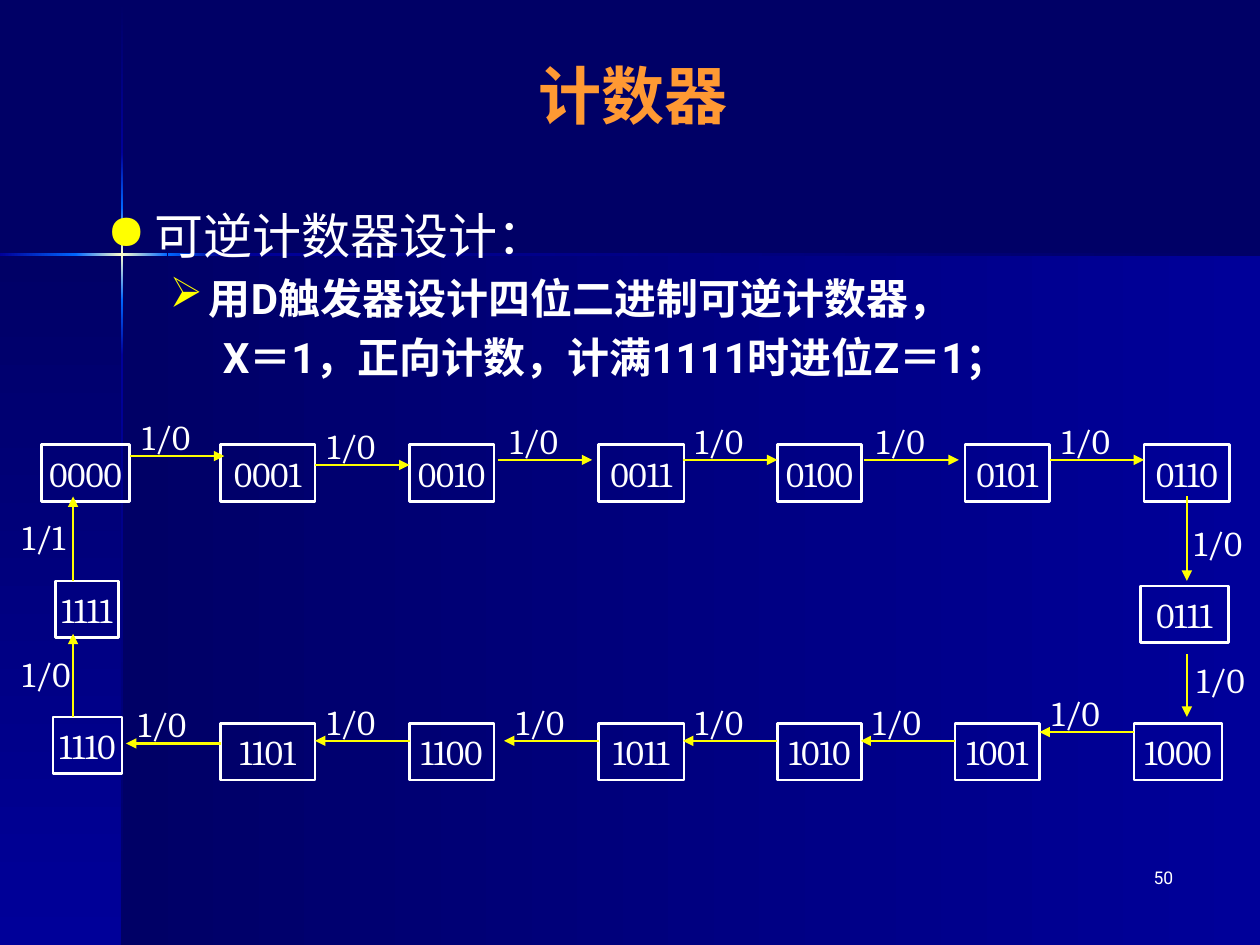
from lxml import etree
from pptx import Presentation
from pptx.dml.color import RGBColor
from pptx.enum.shapes import MSO_CONNECTOR, MSO_SHAPE
from pptx.enum.text import MSO_ANCHOR, MSO_AUTO_SIZE, PP_ALIGN
from pptx.oxml.ns import qn
from pptx.util import Inches, Pt

RECT = MSO_SHAPE.RECTANGLE
STRAIGHT = MSO_CONNECTOR.STRAIGHT
LEFT, CENTER, RIGHT = PP_ALIGN.LEFT, PP_ALIGN.CENTER, PP_ALIGN.RIGHT
TOP, MIDDLE = MSO_ANCHOR.TOP, MSO_ANCHOR.MIDDLE
GROW = MSO_AUTO_SIZE.SHAPE_TO_FIT_TEXT

COLORS = {"night": "000066", "navy": "000099", "blue": "0066FF", "glow": "FFFFCC",
          "title": "FF9933", "text": "FFFFFF", "accent": "FFFF00"}
BODY_FONT, DIAGRAM_FONT = "Roboto", "Cambria"

# Background bands: left, top, width, height, gradient angle, gradient stops
BANDS = [
    (0.97, 2.02, 9.03, 5.48, 0, ("night", "navy")),
    (0, 2.02, 0.97, 5.48, 90, ("night", "navy")),
    (0.96, 0.01, 0.02, 1.2, 90, ("night", "navy")),
    (0.96, 2.82, 0.02, 4.68, 90, ("navy", "night")),
    (1.77, 2.01, 8.23, 0.02, 0, ("navy", "night")),
    (0.96, 2.38, 0.02, 0.44, 90, ("blue", "navy")),
    (0.96, 1.21, 0.02, 0.44, 90, ("navy", "blue")),
    (0.96, 1.65, 0.02, 0.73, 90, ("blue", "glow", "blue")),
    (0, 2.01, 0.61, 0.02, 0, ("navy", "blue")),
    (1.33, 2.01, 0.44, 0.02, 0, ("blue", "navy")),
    (0.6, 2.01, 0.73, 0.02, 0, ("blue", "glow", "blue")),
]

# Counter states: code, left, top, width
TOP_ROW, BOTTOM_ROW = 3.53, 5.74
STATES = [
    ("0000", 0.33, TOP_ROW, 0.7), ("0001", 1.75, TOP_ROW, 0.75),
    ("0010", 3.25, TOP_ROW, 0.67), ("0011", 4.75, TOP_ROW, 0.68),
    ("0100", 6.17, TOP_ROW, 0.67), ("0101", 7.66, TOP_ROW, 0.67),
    ("0110", 9.08, TOP_ROW, 0.68), ("0111", 9.05, 4.65, 0.7),
    ("1000", 9, BOTTOM_ROW, 0.7), ("1001", 7.58, BOTTOM_ROW, 0.67),
    ("1010", 6.17, BOTTOM_ROW, 0.67), ("1011", 4.75, BOTTOM_ROW, 0.68),
    ("1100", 3.25, BOTTOM_ROW, 0.67), ("1101", 1.75, BOTTOM_ROW, 0.75),
    ("1110", 0.42, 5.69, 0.55), ("1111", 0.44, 4.61, 0.5),
]
STATE_HEIGHT = 0.45

# Horizontal transitions: left end and height of each arrow
STEP, LABEL_RISE = 0.75, 0.37
FORWARD = [(1.03, 3.62), (2.5, 3.69), (3.95, 3.65), (5.42, 3.65), (6.86, 3.65), (8.33, 3.65)]
BACKWARD = [(8.25, 5.81), (6.83, 5.88), (5.42, 5.88), (4, 5.88), (2.5, 5.88), (1, 5.9)]
# Vertical transitions: x, start, end, label, label left, label top
VERTICAL = [
    (9.42, 3.94, 4.61, "1/0", 9.38, 4.09), (9.42, 5.19, 5.69, "1/0", 9.4, 5.18),
    (0.58, 5.69, 5.03, "1/0", 0.08, 5.13), (0.58, 4.61, 3.94, "1/1", 0.08, 4.04),
]


def rgb(name):
    return RGBColor.from_string(COLORS[name])


def style(paragraph, size, color="text", font=BODY_FONT, bold=False, align=LEFT):
    paragraph.alignment = align
    for run in paragraph.runs:
        run.font.size = Pt(size)
        run.font.name = font
        run.font.bold = bold
        run.font.color.rgb = rgb(color)


def add_band(slide, left, top, width, height, angle, stops):
    band = slide.shapes.add_shape(RECT, Inches(left), Inches(top), Inches(width), Inches(height))
    band.shadow.inherit = False
    band.line.fill.background()
    band.fill.gradient()
    band.fill.gradient_angle = (360 - angle) % 360
    stop_list = band._element.spPr.find(qn("a:gradFill")).find(qn("a:gsLst"))
    for old_stop in list(stop_list):
        stop_list.remove(old_stop)
    for i, name in enumerate(stops):
        stop = etree.SubElement(stop_list, qn("a:gs"), pos=str(100000 * i // (len(stops) - 1)))
        etree.SubElement(stop, qn("a:srgbClr"), val=COLORS[name])


def add_text(slide, left, top, width, height, text, anchor=TOP, wrap=True, **look):
    box = slide.shapes.add_textbox(Inches(left), Inches(top), Inches(width), Inches(height))
    frame = box.text_frame
    frame.word_wrap = wrap
    frame.vertical_anchor = anchor
    frame.text = text
    style(frame.paragraphs[0], **look)
    return frame


def set_indent(paragraph, margin, first_line=0, bullet=None):
    props = paragraph._p.get_or_add_pPr()
    props.set("marL", str(Inches(margin)))
    props.set("indent", str(Inches(first_line)))
    if bullet:
        color = etree.SubElement(props, qn("a:buClr"))
        etree.SubElement(color, qn("a:srgbClr"), val=COLORS["accent"])
        etree.SubElement(props, qn("a:buChar"), char=bullet)


def add_body(slide):
    frame = add_text(slide, 0.75, 1.58, 8.67, 5.08, "可逆计数器设计：", size=28)
    set_indent(frame.paragraphs[0], 0.38, -0.38, "●")
    details = [("用D触发器设计四位二进制可逆计数器，", 0.81, -0.31, "➢"),
               ("X＝1，正向计数，计满1111时进位Z＝1；", 0.92, 0, None)]
    for text, margin, first_line, bullet in details:
        detail = frame.add_paragraph()
        detail.text = text
        detail.level = 1
        detail.space_before = Pt(4.8)
        set_indent(detail, margin, first_line, bullet)
        style(detail, 24, bold=True)


def add_state(slide, code, left, top, width):
    state = slide.shapes.add_shape(RECT, Inches(left), Inches(top), Inches(width),
                                   Inches(STATE_HEIGHT))
    state.shadow.inherit = False
    state.fill.background()
    state.line.color.rgb = rgb("text")
    state.line.width = Pt(1.5)
    frame = state.text_frame
    frame.margin_left = frame.margin_right = 0
    frame.word_wrap = True
    frame.auto_size = GROW
    frame.text = code
    style(frame.paragraphs[0], 20, font=DIAGRAM_FONT, align=CENTER)


def add_transition(slide, x1, y1, x2, y2, label, label_left, label_top):
    arrow = slide.shapes.add_connector(STRAIGHT, Inches(x1), Inches(y1), Inches(x2), Inches(y2))
    arrow.line.color.rgb = rgb("accent")
    arrow.line.width = Pt(1.5)
    etree.SubElement(arrow.line._get_or_add_ln(), qn("a:tailEnd"), type="triangle")
    etree.SubElement(arrow._element.spPr, qn("a:effectLst"))
    frame = add_text(slide, label_left, label_top, 0.62, 0.43, label, wrap=False,
                     size=20, font=DIAGRAM_FONT)
    frame.auto_size = GROW


def main():
    prs = Presentation()
    prs.slide_width, prs.slide_height = Inches(10), Inches(7.5)
    slide = prs.slides.add_slide(prs.slide_layouts[6])

    # Background with glowing cross lines
    slide.background.fill.solid()
    slide.background.fill.fore_color.rgb = rgb("night")
    for band in BANDS:
        add_band(slide, *band)

    # Title, body and page number
    add_text(slide, 0.44, 0.33, 9.17, 0.83, "计数器", anchor=MIDDLE,
             size=36, color="title", bold=True, align=CENTER)
    add_body(slide)
    add_text(slide, 7.33, 6.83, 2.08, 0.5, "50", size=10, align=RIGHT)

    # State diagram
    for state in STATES:
        add_state(slide, *state)
    for x, y in FORWARD:
        add_transition(slide, x, y, x + STEP, y, "1/0", x, y - LABEL_RISE)
    for x, y in BACKWARD:
        add_transition(slide, x + STEP, y, x, y, "1/0", x, y - LABEL_RISE)
    for x, start, end, label, label_left, label_top in VERTICAL:
        add_transition(slide, x, start, x, end, label, label_left, label_top)

    prs.save("out.pptx")


if __name__ == "__main__":
    main()
